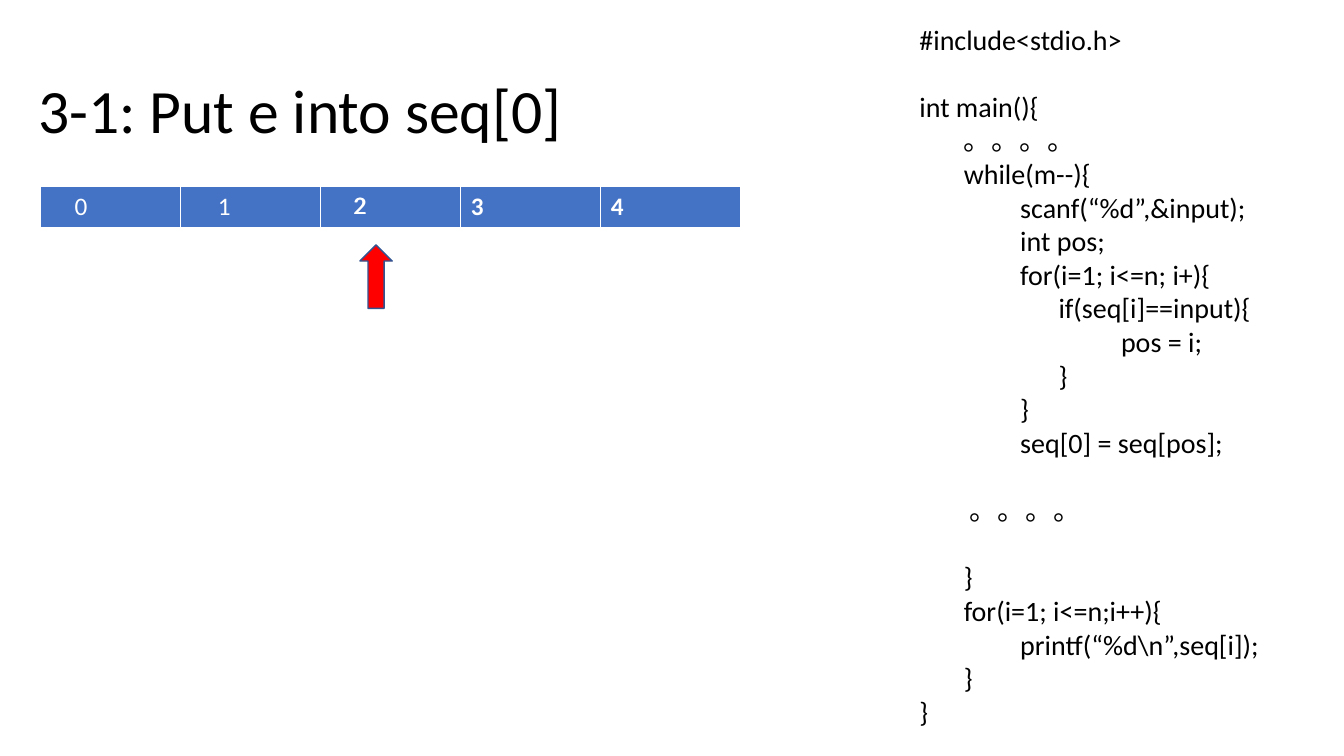
from pptx import Presentation
from pptx.dml.color import RGBColor as Rgb
from pptx.enum.shapes import MSO_SHAPE as Shape
from pptx.enum.text import MSO_ANCHOR as Anchor, MSO_AUTO_SIZE as AutoSize, PP_ALIGN as Align
from pptx.util import Inches, Pt

# Content
TITLE = "3-1: Put e into seq[0]"
CELL_TEXTS = ["", "", "", "3", "4"]
# Index labels: text, column, offset from the column's left edge, top
INDEX_LABELS = [("1", 1, 0.27, 1.84), ("2", 2, 0.22, 1.83),
                ("0", 0, 0.24, 1.84), ("2", 2, 0.23, 1.83)]
DOTS = "。。。。"
# Code lines: indent in inches, text, empty lines above
CODE = [
    (0, "#include<stdio.h>", 0),
    (0, "int main(){", 1),
    (0.44, DOTS, 0),
    (0.44, "while(m--){", 0),
    (1, "scanf(“%d”,&input);", 0),
    (1, "int pos;", 0),
    (1, "for(i=1; i<=n; i+){", 0),
    (1.38, "if(seq[i]==input){", 0),
    (2, "pos = i;", 0),
    (1.38, "}", 0),
    (1, "}", 0),
    (1, "seq[0] = seq[pos];", 0),
    (0.5, DOTS, 1),
    (0.44, "}", 1),
    (0.44, "for(i=1; i<=n;i++){", 0),
    (1, "printf(“%d\\n”,seq[i]);", 0),
    (0.44, "}", 0),
    (0, "}", 0),
]

THEME = {
    "font": "Calibri", "title": 44, "code": 20, "cell": 18, "code_line": 24,
    "black": "000000", "white": "FFFFFF", "blue": "4472C4",
    "red": "FF0000", "edge": "325491",
}
TABLE_LEFT, TABLE_TOP, COLUMN, ROW = 0.4, 1.85, 1.39, 0.41

deck = Presentation()
deck.slide_width, deck.slide_height = Inches(13.33), Inches(7.5)
page = deck.slides.add_slide(deck.slide_layouts[6])


def color(name):
    return Rgb.from_string(THEME[name])


def add_span(para, text, size, ink, bold=False):
    span = para.add_run()
    span.text = text
    span.font.name = THEME["font"]
    span.font.size = Pt(THEME[size])
    span.font.color.rgb = color(ink)
    span.font.bold = bold


def add_box(left, top, width, height, wrap=True):
    box = page.shapes.add_textbox(*map(Inches, (left, top, width, height)))
    box.text_frame.word_wrap = wrap
    return box.text_frame


# Title
frame = add_box(0.28, 0.4, 11.5, 1.45)
frame.vertical_anchor = Anchor.MIDDLE
frame.paragraphs[0].line_spacing = 0.9
add_span(frame.paragraphs[0], TITLE, "title", "black")

# Sequence table
count = len(CELL_TEXTS)
table = page.shapes.add_table(1, count, Inches(TABLE_LEFT), Inches(TABLE_TOP),
                              Inches(COLUMN * count), Inches(ROW)).table
for index, text in enumerate(CELL_TEXTS):
    table.columns[index].width = Inches(COLUMN)
    cell = table.cell(0, index)
    cell.fill.solid()
    cell.fill.fore_color.rgb = color("blue")
    if text:
        add_span(cell.text_frame.paragraphs[0], text, "cell", "white", bold=True)

# Labels over the first cells
for text, column, offset, top in INDEX_LABELS:
    frame = add_box(TABLE_LEFT + column * COLUMN + offset, top, 0.33, 0.4, wrap=False)
    frame.auto_size = AutoSize.SHAPE_TO_FIT_TEXT
    frame.paragraphs[0].alignment = Align.CENTER
    add_span(frame.paragraphs[0], text, "cell", "white")

# Code listing
frame = add_box(9.02, 0.17, 4.31, 7.17)
frame.auto_size = AutoSize.SHAPE_TO_FIT_TEXT
for index, (indent, text, gap) in enumerate(CODE):
    para = frame.add_paragraph() if index else frame.paragraphs[0]
    para.space_before = Pt(gap * THEME["code_line"])
    para._p.get_or_add_pPr().set("marL", str(Inches(indent)))
    add_span(para, text, "code", "black")

# Pointer under cell 2
arrow = page.shapes.add_shape(Shape.UP_ARROW, *map(Inches, (3.57, 2.43, 0.32, 0.63)))
arrow.shadow.inherit = False
arrow.fill.solid()
arrow.fill.fore_color.rgb = color("red")
arrow.line.color.rgb = color("edge")
arrow.line.width = Pt(1)

deck.save("out.pptx")
